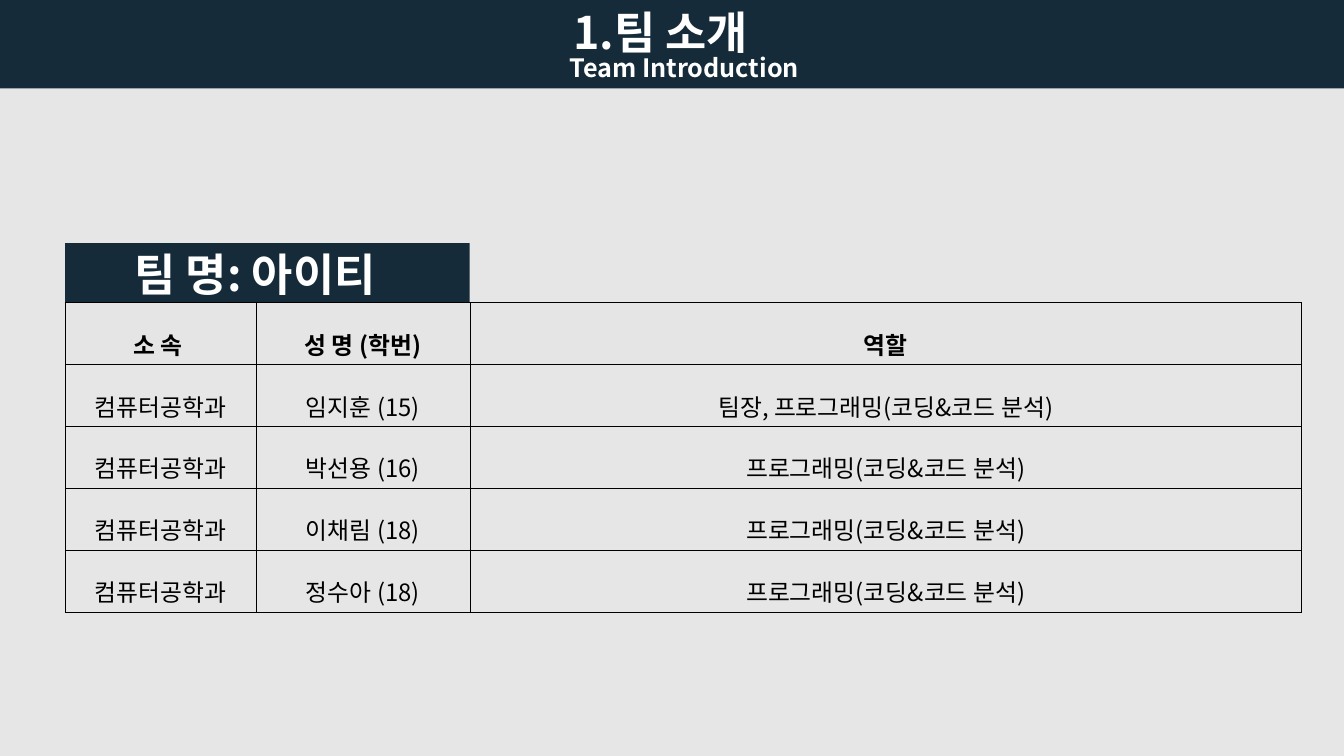
from dataclasses import dataclass

from lxml.etree import SubElement
from pptx import Presentation
from pptx.dml.color import RGBColor as Rgb
from pptx.enum.shapes import MSO_SHAPE as Preset
from pptx.enum.text import MSO_ANCHOR as Anchor, PP_ALIGN as Align
from pptx.oxml.ns import qn
from pptx.util import Cm, Pt


@dataclass(frozen=True)
class Theme:
    font: str = "Noto Sans CJK KR"
    navy: Rgb = Rgb(0x15, 0x2B, 0x39)
    paper: Rgb = Rgb(0xE7, 0xE6, 0xE6)
    header: Rgb = Rgb(0xE5, 0xE5, 0xE5)
    ink: Rgb = Rgb(0, 0, 0)
    white: Rgb = Rgb(255, 255, 255)
    title: Pt = Pt(32)
    subtitle: Pt = Pt(18)
    cell: Pt = Pt(17)
    rule: Pt = Pt(0.28)


@dataclass(frozen=True)
class Box:
    left: float
    top: float
    width: float
    height: float

    def inside(self, left, top, width, height):
        return Box(self.left + left, self.top + top, width, height)

    def lengths(self):
        return [Cm(value) for value in (self.left, self.top, self.width, self.height)]


THEME = Theme()
COLUMNS = (4.81, 5.39, 20.96)
ROW_HEIGHT = 1.56
CODING = "프로그래밍(코딩&코드 분석)"
HEADINGS = ("소 속 ", "성 명 (학번)", "역할")
MEMBERS = (
    ("임지훈 (15)", f"팀장, {CODING}"),
    ("박선용 (16)", CODING),
    ("이채림 (18)", CODING),
    ("정수아 (18)", CODING),
)


def style_text(para, text, size, color, bold=True):
    para.text = text
    font = para.font
    font.size, font.bold, font.name = size, bold, THEME.font
    font.color.rgb = color
    # Korean glyphs use the East Asian typeface
    SubElement(font._element, qn("a:ea"), typeface=THEME.font)


def add_band(page, box):
    band = page.shapes.add_shape(Preset.RECTANGLE, *box.lengths())
    band.shadow.inherit = False
    band.fill.solid()
    band.fill.fore_color.rgb = THEME.navy
    band.line.fill.background()


def add_label(page, box, text, size):
    frame = page.shapes.add_textbox(*box.lengths()).text_frame
    frame.word_wrap = True
    style_text(frame.paragraphs[0], text, size, THEME.white)


def add_borders(cell):
    properties = cell._tc.get_or_add_tcPr()
    for position, side in enumerate(("lnL", "lnR", "lnT", "lnB")):
        line = properties.makeelement(qn(f"a:{side}"), {"w": str(int(THEME.rule))})
        fill = SubElement(line, qn("a:solidFill"))
        SubElement(fill, qn("a:srgbClr"), val=str(THEME.ink))
        properties.insert(position, line)


def fill_cell(cell, text, is_header):
    cell.vertical_anchor = Anchor.MIDDLE
    cell.margin_left = cell.margin_right = Cm(0.3)
    cell.margin_top = cell.margin_bottom = Cm(0.08)
    if is_header:
        cell.fill.solid()
        cell.fill.fore_color.rgb = THEME.header
    else:
        cell.fill.background()
    para = cell.text_frame.paragraphs[0]
    para.alignment, para.line_spacing = Align.CENTER, 1.6
    style_text(para, text, THEME.cell, THEME.ink, is_header)
    add_borders(cell)


def add_heading(page, box):
    add_band(page, box)
    add_label(page, box.inside(14.2, 0, 5.46, 1.63), "1.팀 소개", THEME.title)
    add_label(page, box.inside(14.1, 1.19, 7.21, 1.02), "Team Introduction", THEME.subtitle)


def add_team_name(page, box):
    add_band(page, box)
    add_label(page, box.inside(1.5, -0.05, 7.21, 1.63), "팀 명: 아이티", THEME.title)


def add_members(page, box):
    rows = [HEADINGS] + [("컴퓨터공학과", *member) for member in MEMBERS]
    table = page.shapes.add_table(len(rows), len(COLUMNS), *box.lengths()).table
    table.first_row = table.horz_banding = False
    for column, width in zip(table.columns, COLUMNS):
        column.width = Cm(width)
    for row_index, texts in enumerate(rows):
        table.rows[row_index].height = Cm(ROW_HEIGHT)
        for column_index, text in enumerate(texts):
            fill_cell(table.cell(row_index, column_index), text, row_index == 0)


def build_team_page(deck, box):
    page = deck.slides.add_slide(deck.slide_layouts[6])
    page.background.fill.solid()
    page.background.fill.fore_color.rgb = THEME.paper
    # Title band across the top
    add_heading(page, box.inside(0, 0, box.width, 2.23))
    # Member table, with the team name above its first two columns
    table_height = ROW_HEIGHT * (len(MEMBERS) + 1)
    add_members(page, box.inside(1.64, 7.62, sum(COLUMNS), table_height))
    add_team_name(page, box.inside(1.64, 6.13, sum(COLUMNS[:2]), 1.48))


deck = Presentation()
slide_box = Box(0, 0, 33.87, 19.05)
deck.slide_width, deck.slide_height = Cm(slide_box.width), Cm(slide_box.height)
build_team_page(deck, slide_box)
deck.save("out.pptx")
